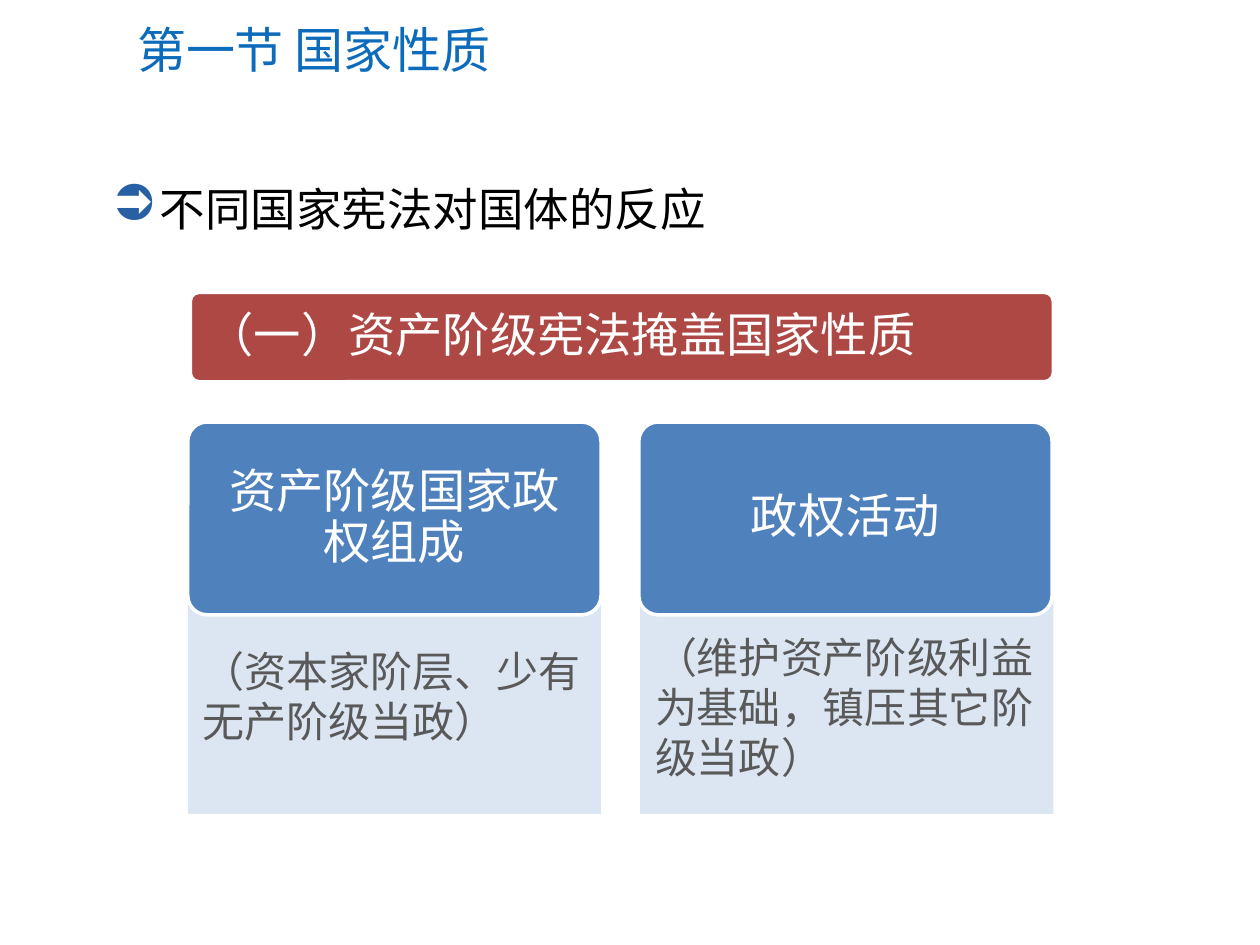
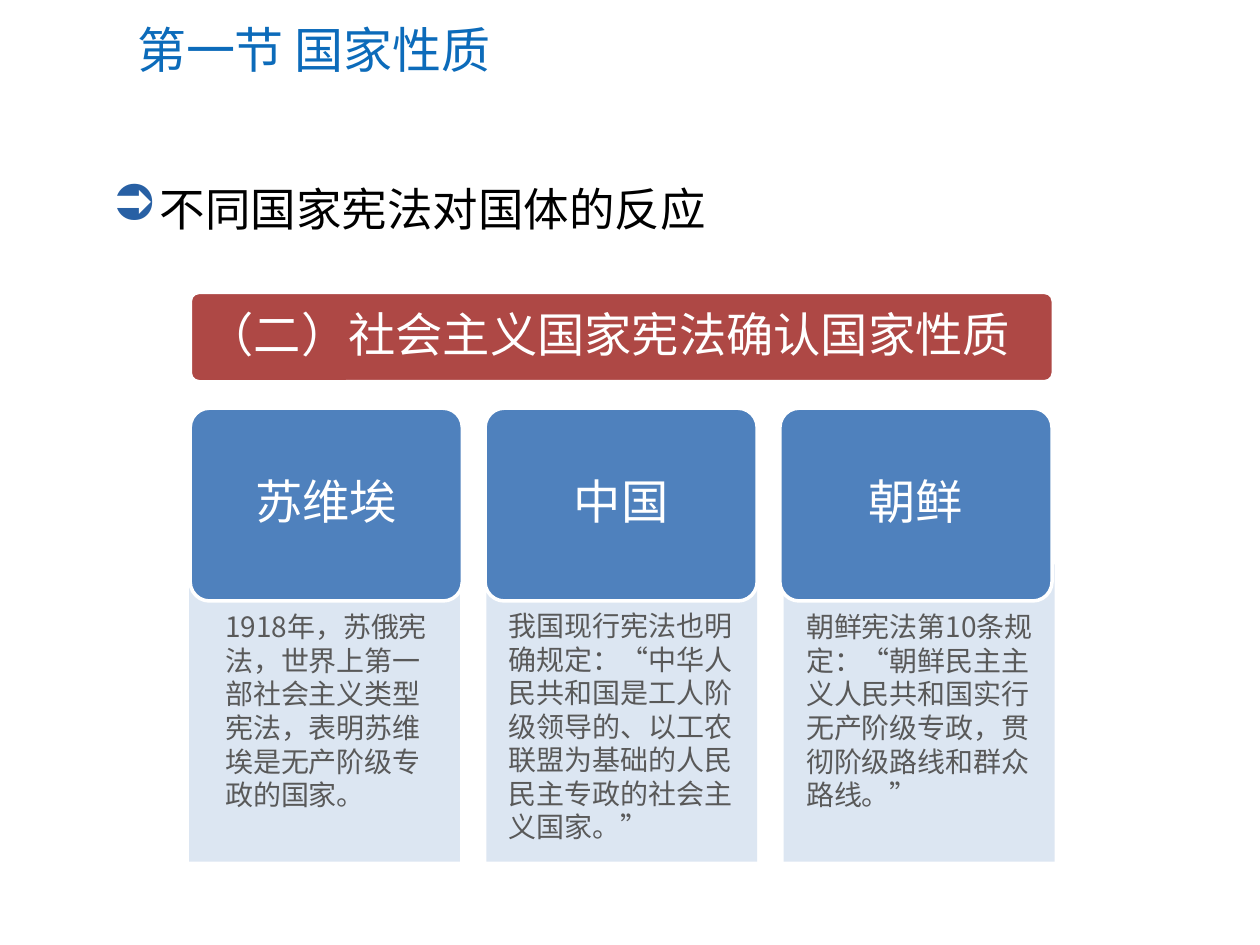
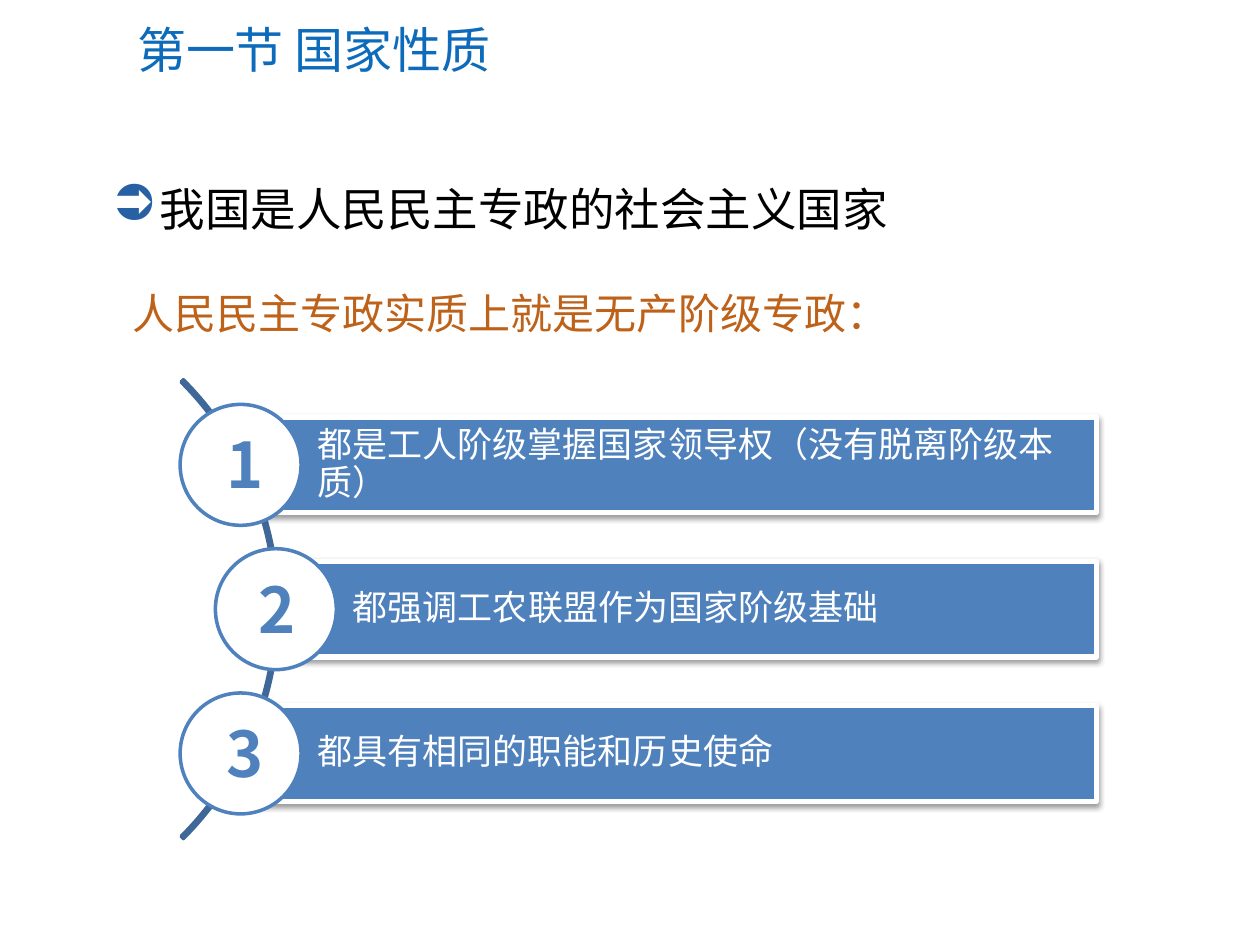
from lxml import etree
from pptx import Presentation
from pptx import util as u
from pptx.dml.color import RGBColor
from pptx.enum import shapes, text
from pptx.oxml import ns

TITLE_BLUE = RGBColor(0x0C, 0x6B, 0xBA)
BULLET_BLUE = RGBColor(0x28, 0x60, 0xA4)
BLOCK_BLUE = RGBColor(0x4F, 0x81, 0xBD)
PALE_BLUE = RGBColor(0xDC, 0xE6, 0xF2)
ARC_BLUE = RGBColor(0x3F, 0x67, 0x97)
BANNER_RED = RGBColor(0xAE, 0x48, 0x45)
ORANGE = RGBColor(0xBE, 0x61, 0x19)
GREY = RGBColor(0x59, 0x59, 0x59)
BLACK = RGBColor(0, 0, 0)
WHITE = RGBColor(255, 255, 255)
LATIN, CJK = "Calibri", "Noto Sans CJK SC"
MIDDLE, TOP = text.MSO_ANCHOR.MIDDLE, text.MSO_ANCHOR.TOP
LEFT, CENTER = text.PP_ALIGN.LEFT, text.PP_ALIGN.CENTER
ROUNDED = shapes.MSO_SHAPE.ROUNDED_RECTANGLE


def write(target, words, box=None, size=24, color=GREY, font=CJK, bold=False,
          align=LEFT, anchor=TOP, insets=(0.1, 0.05, 0.1, 0.05), spacing=1.0,
          wrap=True, bullet=None):
    """Put text in a shape, or in a new text box when target is a slide."""
    if box:
        target = target.shapes.add_textbox(*map(u.Inches, box))
    frame = target.text_frame
    frame.word_wrap = wrap
    frame.vertical_anchor = anchor
    (frame.margin_left, frame.margin_top,
     frame.margin_right, frame.margin_bottom) = map(u.Inches, insets)
    paragraph = frame.paragraphs[0]
    paragraph.alignment = align
    paragraph.line_spacing = spacing
    if bullet:
        props = paragraph._p.get_or_add_pPr()
        props.set("marL", str(u.Inches(0.38)))
        props.set("indent", str(-u.Inches(0.38)))
        tint = etree.SubElement(props, ns.qn("a:buClr"))
        etree.SubElement(tint, ns.qn("a:srgbClr"), val=str(BULLET_BLUE))
        etree.SubElement(props, ns.qn("a:buSzPct"), val="110000")
        etree.SubElement(props, ns.qn("a:buChar"), char=bullet)
    run = paragraph.add_run()
    run.text = words
    run.font.size = u.Pt(size)
    run.font.bold = bold
    run.font.color.rgb = color
    run.font.name = font
    latin = run._r.rPr.find(ns.qn("a:latin"))
    latin.addnext(etree.Element(ns.qn("a:ea"), typeface=CJK))


def add_block(slide, kind, box, fill=None, line=None, weight=2):
    block = slide.shapes.add_shape(kind, *map(u.Inches, box))
    block.shadow.inherit = False
    if fill is None:
        block.fill.background()
    else:
        block.fill.solid()
        block.fill.fore_color.rgb = fill
    if line is None:
        block.line.fill.background()
    else:
        block.line.color.rgb = line
        block.line.width = u.Pt(weight)
    if kind == ROUNDED:
        block.adjustments[0] = 0.1
    return block


deck = Presentation()
deck.slide_width, deck.slide_height = u.Inches(10), u.Inches(7.5)

# Title and topic on every slide
topics = ["不同国家宪法对国体的反应", "不同国家宪法对国体的反应",
          "我国是人民民主专政的社会主义国家"]
for topic in topics:
    slide = deck.slides.add_slide(deck.slide_layouts[6])
    write(slide, "第一节 国家性质", (0.99, 0.1, 8.72, 0.58), size=28,
          color=TITLE_BLUE, font=LATIN, anchor=MIDDLE)
    write(slide, topic, (0.79, 1.39, 8.34, 0.54), size=26, color=BLACK,
          font=LATIN, bullet="➲")
bourgeois, socialist, dictatorship = deck.slides

# Slides 1 and 2: red banner above a row of cards
# Each card: heading, heading font, body text, body left, top, width, height
comparisons = [
    dict(slide=bourgeois, banner="（一）资产阶级宪法掩盖国家性质",
         head_left=1.49, head_pitch=3.58, head_top=3.35, head_width=3.28,
         panel_left=1.49, panel_pitch=3.59, panel_top=4.76, panel_width=3.28,
         panel_height=1.7, body_size=24, cards=[
             ("资产阶级国家政权组成", CJK, "（资本家阶层、少有无产阶级当政）",
              (1.51, 5.07, 3.25, 0.91)),
             ("政权活动", LATIN, "（维护资产阶级利益为基础，镇压其它阶级当政）",
              (5.1, 4.96, 3.25, 1.31))]),
    dict(slide=socialist, banner="（二）社会主义国家宪法确认国家性质",
         head_left=1.51, head_pitch=2.34, head_top=3.24, head_width=2.16,
         panel_left=1.5, panel_pitch=2.36, panel_top=4.48, panel_width=2.15,
         panel_height=2.36, body_size=16, cards=[
             ("苏维埃", LATIN,
              "1918年，苏俄宪法，世界上第一部社会主义类型宪法，表明苏维埃是无产阶级专政的国家。",
              (1.69, 4.79, 1.87, 1.72)),
             ("中国", LATIN,
              "我国现行宪法也明确规定：“中华人民共和国是工人阶级领导的、以工农联盟为基础的人民民主专政的社会主义国家。”",
              (3.94, 4.78, 2.05, 1.99)),
             ("朝鲜", LATIN,
              "朝鲜宪法第10条规定：“朝鲜民主主义人民共和国实行无产阶级专政，贯彻阶级路线和群众路线。”",
              (6.3, 4.79, 2, 1.72))]),
]
for row in comparisons:
    slide = row["slide"]
    banner = add_block(slide, ROUNDED, (1.51, 2.32, 6.85, 0.71), BANNER_RED, WHITE)
    write(banner, row["banner"], size=27, color=WHITE, anchor=MIDDLE,
          insets=[0.11] * 4, spacing=0.9)
    for i, (heading, font, body, body_box) in enumerate(row["cards"]):
        add_block(slide, shapes.MSO_SHAPE.RECTANGLE,
                  (row["panel_left"] + i * row["panel_pitch"], row["panel_top"],
                   row["panel_width"], row["panel_height"]), PALE_BLUE)
        head = add_block(slide, ROUNDED,
                         (row["head_left"] + i * row["head_pitch"], row["head_top"],
                          row["head_width"], 1.53), BLOCK_BLUE, WHITE)
        write(head, heading, size=27, color=WHITE, font=font, align=CENTER,
              anchor=MIDDLE, insets=[0.12] * 4, spacing=0.9)
        write(slide, body, body_box, size=row["body_size"])

# Slide 3: lead sentence and the arc behind the numbers
write(dictatorship, "人民民主专政实质上就是无产阶级专政：", (0.95, 2.23, 7.75, 0.5),
      color=ORANGE)
arc = add_block(dictatorship, shapes.MSO_SHAPE.BLOCK_ARC,
                (-2.94, 2.26, 5.15, 5.15), line=ARC_BLUE)
for i, value in enumerate((189, 27, 0.005)):
    arc.adjustments[i] = value

# Slide 3: numbered bars, the middle one set further right along the arc
# Each point: words, circle left, number left
points = [("都是工人阶级掌握国家领导权（没有脱离阶级本质）", 1.43, 1.7),
          ("都强调工农联盟作为国家阶级基础", 1.71, 1.95),
          ("都具有相同的职能和历史使命", 1.43, 1.7)]
for i, (words, circle_left, number_left) in enumerate(points):
    circle_top = 3.21 + i * 1.145
    bar_left = circle_left + 0.48
    bar = add_block(dictatorship, shapes.MSO_SHAPE.RECTANGLE,
                    (bar_left, circle_top + 0.1, 8.7 - bar_left, 0.76),
                    BLOCK_BLUE, WHITE, weight=3)
    effects = bar._element.spPr.find(ns.qn("a:effectLst"))
    shadow = etree.SubElement(effects, ns.qn("a:outerShdw"), blurRad=str(u.Pt(3.1)),
                              dist=str(u.Pt(1.6)), dir="5400000", rotWithShape="0")
    shade = etree.SubElement(shadow, ns.qn("a:srgbClr"), val=str(BLACK))
    etree.SubElement(shade, ns.qn("a:alpha"), val="38000")
    write(bar, words, size=20, color=WHITE, anchor=MIDDLE,
          insets=(0.61, 0.06, 0.06, 0.06), spacing=0.9)
    add_block(dictatorship, shapes.MSO_SHAPE.OVAL,
              (circle_left, circle_top, 0.96, 0.96), WHITE, BLOCK_BLUE)
    write(dictatorship, str(i + 1), (number_left, circle_top + 0.12, 0.45, 0.71),
          size=36, color=BLOCK_BLUE, bold=True, wrap=False)

deck.save("out.pptx")
